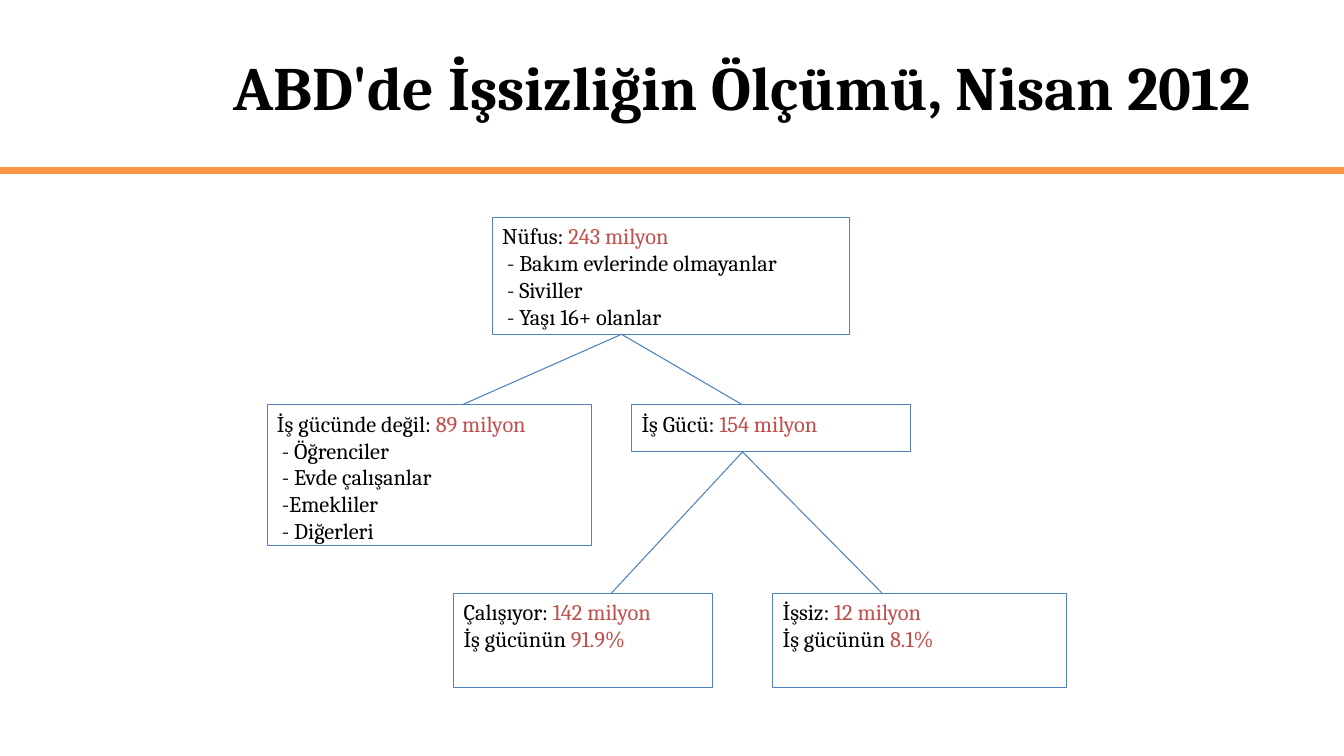
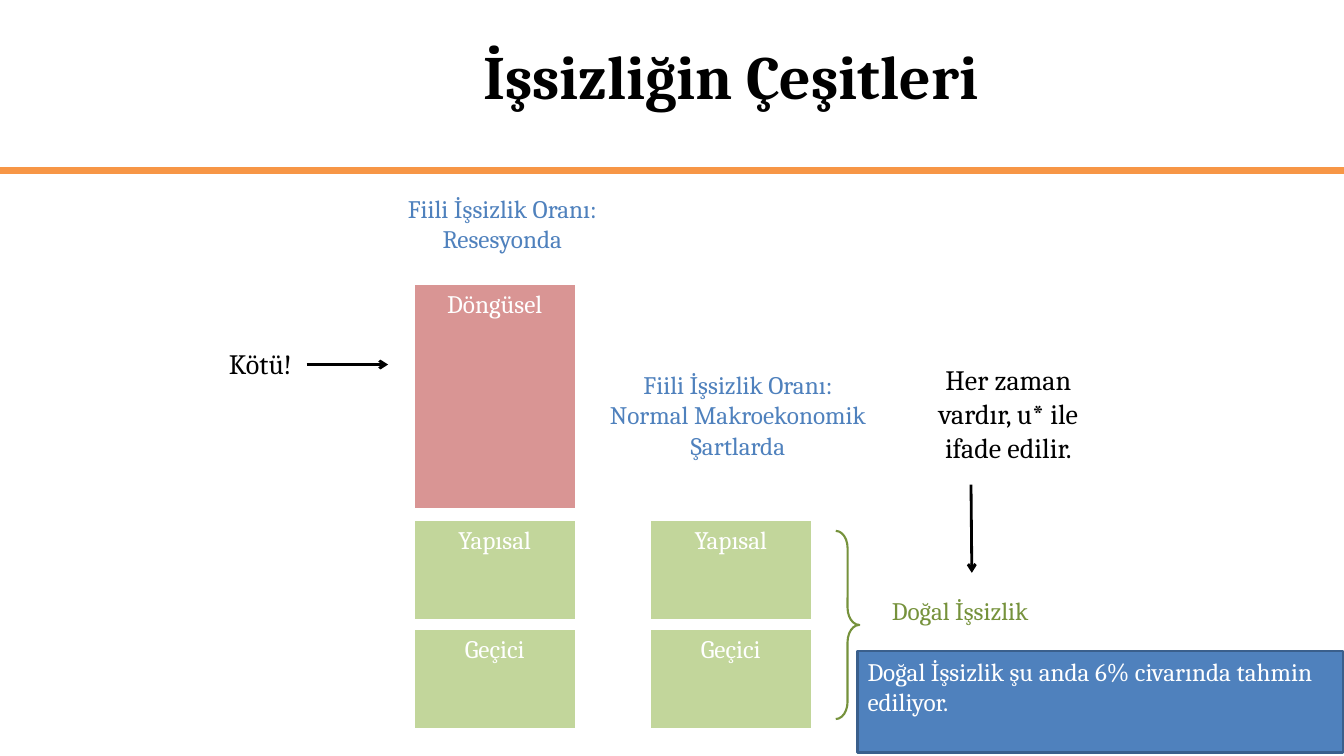
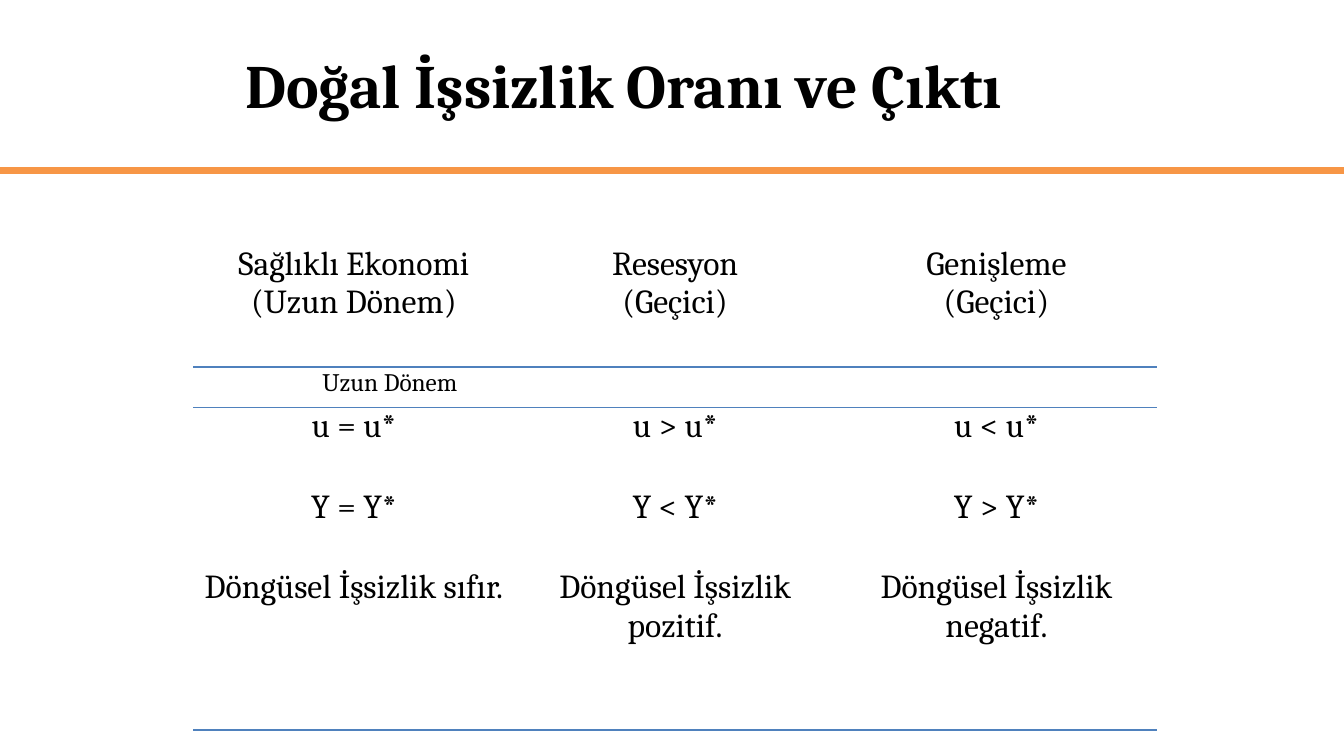
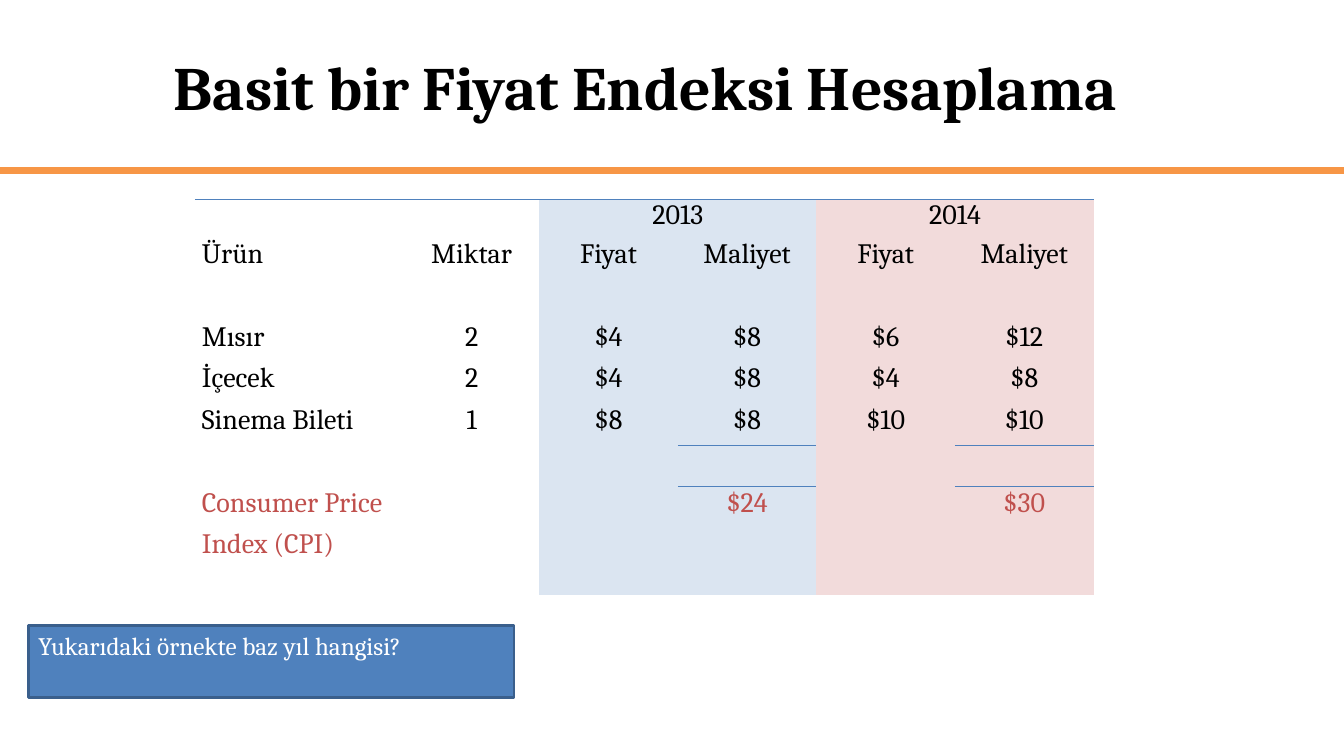
from itertools import product
from lxml.etree import SubElement
from pptx import Presentation
from pptx.dml.color import RGBColor
from pptx.enum.shapes import MSO_CONNECTOR as Link, MSO_SHAPE as Form
from pptx.enum.text import MSO_ANCHOR as Anchor, MSO_AUTO_SIZE as Fit, PP_ALIGN as Align
from pptx.oxml import parse_xml
from pptx.oxml.ns import nsdecls, qn
from pptx.util import Inches, Pt


class Theme:
    font = "Cambria"
    black, white = RGBColor(0, 0, 0), RGBColor(255, 255, 255)
    blue, navy, pale = (RGBColor.from_string(c) for c in ("4F81BD", "3A5F8C", "DBE5F1"))
    red, rose, blush = (RGBColor.from_string(c) for c in ("C0504D", "D99594", "F2DBDB"))
    green, lime = RGBColor.from_string("76923C"), RGBColor.from_string("C2D69B")
    orange = RGBColor.from_string("F79646")
    title, head, large, body, small = 44, 24, 20, 18, 16
    no_style = "{2D5ABB26-0587-4C30-8999-92F81FD0307C}"


# The slide is a grid of 160 columns by 90 rows of square units
UNIT = Inches(1) // 12


def line(page, start, end, color, width, arrow=False):
    ends = [round(v * UNIT) for v in (*start, *end)]
    link = page.shapes.add_connector(Link.STRAIGHT, *ends)
    link.line.color.rgb = color
    link.line.width = Pt(width)
    props = link.element.spPr
    if arrow:
        SubElement(props.find(qn("a:ln")), qn("a:tailEnd"), type="arrow")
    SubElement(props, qn("a:effectLst"))
    return link


def box(page, at, paras, size, ink, fill=None, edge=None, width=1, align=Align.LEFT, pad=True):
    """Text in a rectangle; the part of a paragraph after "|" is red."""
    at = [round(v * UNIT) for v in at]
    if fill is None:
        shape = page.shapes.add_textbox(*at)
    else:
        shape = page.shapes.add_shape(Form.RECTANGLE, *at)
        shape.shadow.inherit = False
        shape.fill.solid()
        shape.fill.fore_color.rgb = fill
        if edge is None:
            shape.line.fill.background()
        else:
            shape.line.color.rgb = edge
            shape.line.width = Pt(width)
    frame = shape.text_frame
    frame.word_wrap = fill is not None
    frame.vertical_anchor = Anchor.TOP
    if not pad:
        frame.margin_left = frame.margin_right = frame.margin_top = frame.margin_bottom = 0
    for i, text in enumerate(paras):
        para = frame.add_paragraph() if i else frame.paragraphs[0]
        plain, _, accent = text.partition("|")
        para.text = plain
        para.alignment = align
        if accent:
            para.add_run().text = accent
        for run, color in zip(para.runs, (ink, Theme.red)):
            run.font.name, run.font.size, run.font.color.rgb = Theme.font, Pt(size), color


deck = Presentation()
deck.slide_width, deck.slide_height = 160 * UNIT, 90 * UNIT
layout = deck.slide_layouts[5]

# Titles: text, left, top, width, alignment, left inset
titles = [
    ("ABD'de İşsizliğin Ölçümü, Nisan 2012", 22.2, 0.2, 132.4, Align.CENTER, 1.2),
    ("İşsizliğin Çeşitleri", 31.9, -1.1, 110.2, Align.CENTER, 1.2),
    ("Doğal İşsizlik Oranı ve Çıktı", 4, 0, 152.5, Align.LEFT, 25.2),
    ("Basit bir Fiyat Endeksi Hesaplama", 16.6, 0.2, 120.5, Align.CENTER, 1.2),
]
pages = []
for text, left, top, width, align, inset in titles:
    page = deck.slides.add_slide(layout)
    title = page.shapes.title
    title.left, title.top, title.width, title.height = (
        round(v * UNIT) for v in (left, top, width, 20))
    frame = title.text_frame
    frame.text = text
    frame.word_wrap, frame.auto_size = True, Fit.NONE
    frame.vertical_anchor = Anchor.MIDDLE
    frame.margin_left = round(inset * UNIT)
    para = frame.paragraphs[0]
    para.alignment = align
    font = para.runs[0].font
    font.name, font.size, font.bold = Theme.font, Pt(Theme.title), True
    font.color.rgb = Theme.black
    pages.append(page)
tree, kinds, rates, index = pages

# Orange rule under every title, kept on the layout
rule = line(tree, (0, 20.3), (160, 20.3), Theme.orange, 4.5)
rule.element.nvCxnSpPr.cNvPr.id = 20
layout.shapes.element.append(rule.element)

# Slide 1: tree of the population
mid, low = 48.2, 70.6
nodes = [
    ((58.6, 25.9, 42.5, 13.9), ["Nüfus: |243 milyon", " - Bakım evlerinde olmayanlar",
                                " - Siviller", " - Yaşı 16+ olanlar"]),
    ((31.8, mid, 38.6, 16.8), ["İş gücünde değil: |89 milyon", " - Öğrenciler",
                               " - Evde çalışanlar", " -Emekliler", " - Diğerleri"]),
    ((75.2, mid, 33.2, 5.6), ["İş Gücü: |154 milyon"]),
    ((54, low, 30.8, 11.2), ["Çalışıyor: |142 milyon", "İş gücünün |91.9%"]),
    ((92, low, 35, 11.2), ["İşsiz: |12 milyon", "İş gücünün |8.1%"]),
]
for at, paras in nodes:
    box(tree, at, paras, Theme.small, Theme.black, Theme.white, Theme.blue, 0.75)
for start, row, ends in (((74, 39.8), mid, (55, 88.4)), ((88.4, 53.8), low, (72.8, 105))):
    for x in ends:
        line(tree, start, (x, row), Theme.blue, 0.75)

# Slide 2: stacked kinds of unemployment
bars = [((x, y, 19.6, 12.1), name, Theme.lime)
        for x, (y, name) in product((49.1, 77.2), ((74.8, "Geçici"), (61.8, "Yapısal")))]
bars.append(((49.1, 33.7, 19.6, 27), "Döngüsel", Theme.rose))
for at, name, fill in bars:
    box(kinds, at, [name], Theme.body, Theme.white, fill, Theme.white, 3, Align.CENTER)

labels = [
    ((45.5, 23, 28.6, 8.5), "Fiili İşsizlik Oranı: Resesyonda", Theme.body, Theme.blue),
    ((72.6, 44, 30.5, 16.1), "Fiili İşsizlik Oranı: Normal Makroekonomik Şartlarda",
     Theme.body, Theme.blue),
    ((102.1, 70.9, 24.4, 9.7), "Doğal İşsizlik", Theme.body, Theme.green),
    ((23.9, 41.3, 14.2, 3.8), "Kötü!", Theme.large, Theme.black),
    ((108.4, 43.2, 23.3, 13.7), "Her zaman vardır, u* ile ifade edilir.",
     Theme.large, Theme.black),
]
for at, text, size, ink in labels:
    box(kinds, at, [text], size, ink, Theme.white, align=Align.CENTER, pad=False)

brace = kinds.shapes.add_shape(
    Form.RIGHT_BRACE, *(round(v * UNIT) for v in (99.5, 63.2, 2.8, 22.4)))
brace.adjustments[0] = 0.73
brace.shadow.inherit = False
brace.fill.background()
brace.line.color.rgb = Theme.green
brace.line.width = Pt(1.5)
line(kinds, (36.5, 43.4), (46.2, 43.4), Theme.black, 2, True)
line(kinds, (115.6, 57.7), (115.7, 68.2), Theme.black, 2, True)

# Blue notes on slides 2 and 4
notes = [
    (kinds, (102.1, 77.5, 57.8, 12.1), "Doğal İşsizlik şu anda 6% civarında tahmin ediliyor."),
    (index, (3.4, 74.5, 57.8, 8.5), "Yukarıdaki örnekte baz yıl hangisi?"),
]
for page, at, text in notes:
    box(page, at, [text], Theme.body, Theme.white, Theme.blue, Theme.navy, 2)

# Slides 3 and 4: table contents, by row and column
states = {
    0: ["Sağlıklı Ekonomi\n(Uzun Dönem)", "Resesyon\n(Geçici)", "Genişleme\n(Geçici)"],
    3: ["u = u*", "u > u*", "u < u*"],
    5: ["Y = Y*", "Y < Y*", "Y > Y*"],
    7: ["Döngüsel İşsizlik sıfır.", "Döngüsel İşsizlik pozitif.", "Döngüsel İşsizlik negatif."],
}
prices = {
    0: ["", "", "2013", "", "2014", ""],
    1: ["Ürün", "Miktar", "Fiyat", "Maliyet", "Fiyat", "Maliyet"],
    3: ["Mısır", "2", "$4", "$8", "$6", "$12"],
    4: ["İçecek", "2", "$4", "$8", "$4", "$8"],
    5: ["Sinema Bileti", "1", "$8", "$8", "$10", "$10"],
    7: ["Consumer Price", "", "", "$24", "", "$30"],
    8: ["Index (CPI)", "", "", "", "", ""],
}
# Borders: (row, column) to side
lines3 = {(r, c): side for r, side in ((1, "B"), (2, "T"), (8, "B")) for c in range(3)}
lines4 = {(0, c): "T" for c in range(6)}
lines4.update({(r, c): side for r, side in ((5, "B"), (6, "T")) for c in (3, 5)})
tables = [
    (rates, (23, 24.5), [38.25] * 3, [14.4] + [4.8] * 6 + [14.4, 4.8],
     states, Theme.head, lines3, [None] * 3),
    (index, (23.2, 23.7), [24.9, 16.1] + [16.5] * 4, [4.7] + [4.93] * 7 + [7.9],
     prices, Theme.large, lines4, [None] * 2 + [Theme.pale] * 2 + [Theme.blush] * 2),
]
for page, spot, cols, rows, data, size, edges, fills in tables:
    area = [round(v * UNIT) for v in (*spot, sum(cols), sum(rows))]
    holder = page.shapes.add_table(len(rows), len(cols), *area)
    grid = holder.table
    grid.first_row = grid.horz_banding = False
    next(holder.element.iter(qn("a:tableStyleId"))).text = Theme.no_style
    for col, width in zip(grid.columns, cols):
        col.width = round(width * UNIT)
    for row, height in zip(grid.rows, rows):
        row.height = round(height * UNIT)
    for r, c in product(range(len(rows)), range(len(cols))):
        cell = grid.cell(r, c)
        cell.margin_left = cell.margin_right = Inches(0.07)
        cell.margin_top = cell.margin_bottom = 0
        if page is rates and r == 0:
            cell.margin_top = Inches(0.39)
        if fills[c] is None:
            cell.fill.background()
        else:
            cell.fill.solid()
            cell.fill.fore_color.rgb = fills[c]
        if (r, c) in edges:
            side = edges[r, c]
            cell.fill._xPr.insert(0, parse_xml(
                f'<a:ln{side} {nsdecls("a")} w="12700"><a:solidFill>'
                f'<a:srgbClr val="{Theme.blue}"/></a:solidFill></a:ln{side}>'))
        text = data.get(r, [""] * len(cols))[c]
        if text:
            cell.text_frame.text = text
        for para in cell.text_frame.paragraphs:
            para.alignment = Align.LEFT if page is index and c == 0 else Align.CENTER
            for run in para.runs:
                run.font.name, run.font.size = Theme.font, Pt(size)
                run.font.color.rgb = Theme.red if page is index and r > 6 else Theme.black
    if page is index:
        for r, c in product((0, 8), (0, 2, 4)):
            grid.cell(r, c).merge(grid.cell(r, c + 1))

# Caption over the table of slide 3
box(rates, (37.2, 43, 19.1, 4.8), ["Uzun Dönem"], Theme.body, Theme.black)

deck.save("out.pptx")
